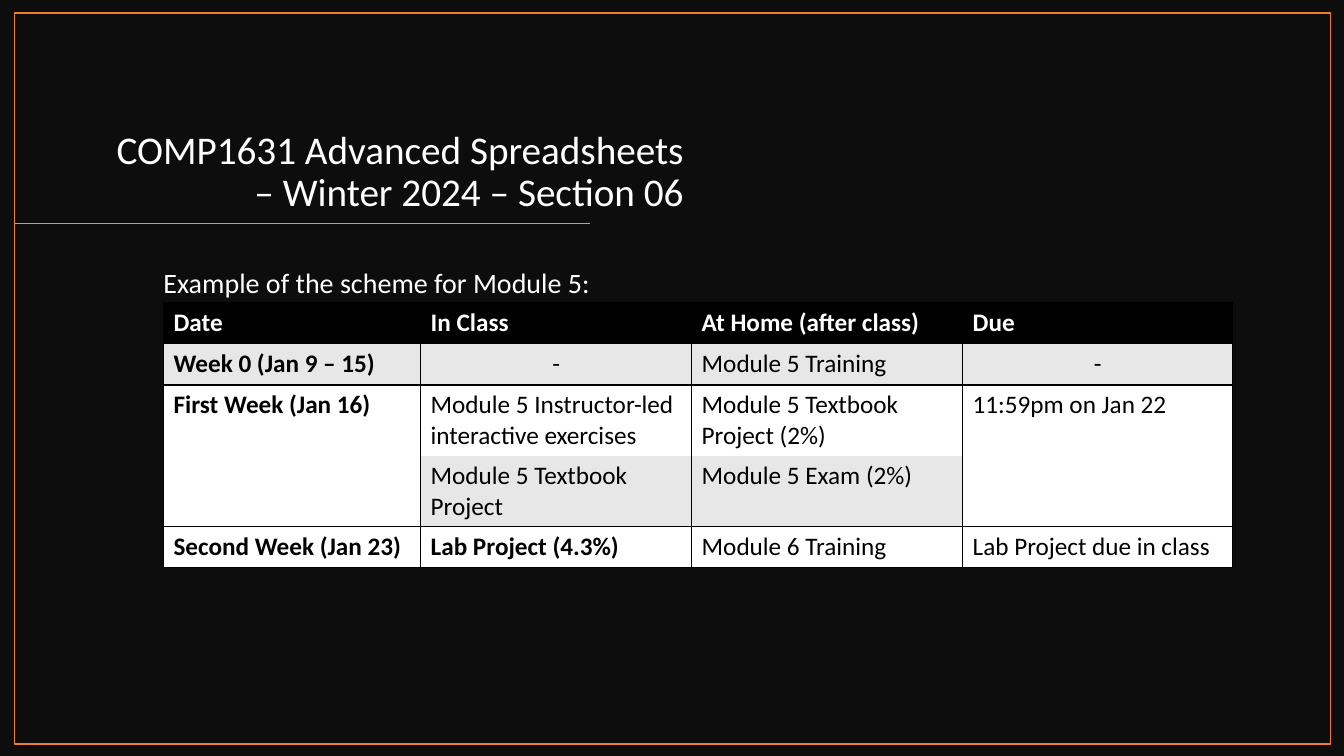
from lxml.etree import SubElement
from pptx import Presentation
from pptx.dml.color import RGBColor
from pptx.enum.shapes import MSO_CONNECTOR, MSO_SHAPE
from pptx.enum.text import MSO_ANCHOR, MSO_AUTO_SIZE, PP_ALIGN
from pptx.oxml.ns import qn
from pptx.util import Cm, Pt

TITLE = "COMP1631 Advanced Spreadsheets – Winter 2024 – Section 06"
INTRO = "Example of the scheme for Module 5:"
SCHEDULE = [
    ["Date", "In Class", "At Home (after class)", "Due"],
    ["Week 0 (Jan 9 – 15)", "-", "Module 5 Training", "-"],
    ["First Week (Jan 16)", "Module 5 Instructor-led interactive exercises",
     "Module 5 Textbook Project (2%)", "11:59pm on Jan 22"],
    ["", "Module 5 Textbook Project", "Module 5 Exam (2%)", ""],
    ["Second Week (Jan 23)", "Lab Project (4.3%)", "Module 6 Training",
     "Lab Project due in class"],
]
BOLD_EXTRA = "Lab Project (4.3%)"
FIRST_WEEK, MERGED_COLUMNS = 2, (0, 3)
COLUMN_WIDTHS = [6.48, 6.83, 6.83, 6.81]
ROW_HEIGHT = 1.04

FONT = "Calibri"
BLACK, WHITE, BAND = "000000", "FFFFFF", "E7E7E7"
DARK, ORANGE, GREY = "0D0D0D", "ED7D31", "A5A5A5"
SLIDE_WIDTH, SLIDE_HEIGHT = 33.87, 19.05
FRAME_LEFT, FRAME_TOP = 0.36, 0.33


def color(value):
    return RGBColor.from_string(value)


def write(para, text, size, ink, bold=False):
    span = para.add_run()
    span.text = text
    span.font.name = FONT
    span.font.size = Pt(size)
    span.font.bold = bold
    span.font.color.rgb = color(ink)


def add_rectangle(page, left, top, width, height):
    box = page.shapes.add_shape(MSO_SHAPE.RECTANGLE, Cm(left), Cm(top),
                                Cm(width), Cm(height))
    box.shadow.inherit = False
    return box


def set_borders(cell, hidden):
    """Draw black edges on a cell, leaving out the side named in hidden."""
    properties = cell._tc.get_or_add_tcPr()
    for position, side in enumerate(("lnL", "lnR", "lnT", "lnB")):
        edge = properties.makeelement(qn(f"a:{side}"), {"w": str(Pt(1))})
        if side == hidden:
            SubElement(edge, qn("a:noFill"))
        else:
            fill = SubElement(edge, qn("a:solidFill"))
            SubElement(fill, qn("a:srgbClr"), val=BLACK)
        properties.insert(position, edge)


def add_schedule(page):
    table = page.shapes.add_table(
        len(SCHEDULE), len(COLUMN_WIDTHS), Cm(4.12), Cm(7.62),
        Cm(sum(COLUMN_WIDTHS)), Cm(ROW_HEIGHT * len(SCHEDULE))).table
    for column, width in zip(table.columns, COLUMN_WIDTHS):
        column.width = Cm(width)
    for row in table.rows:
        row.height = Cm(ROW_HEIGHT)
    open_sides = {FIRST_WEEK: "lnB", FIRST_WEEK + 1: "lnT"}
    for r, texts in enumerate(SCHEDULE):
        for c, text in enumerate(texts):
            cell = table.cell(r, c)
            banded = r % 2 == 1 and text
            cell.fill.solid()
            cell.fill.fore_color.rgb = color(
                BLACK if r == 0 else BAND if banded else WHITE)
            set_borders(cell, open_sides.get(r))
            if text:
                para = cell.text_frame.paragraphs[0]
                para.alignment = PP_ALIGN.CENTER if text == "-" else PP_ALIGN.LEFT
                write(para, text, 18, BLACK if r else WHITE,
                      r == 0 or c == 0 or text == BOLD_EXTRA)
    for c in MERGED_COLUMNS:
        table.cell(FIRST_WEEK, c).merge(table.cell(FIRST_WEEK + 1, c))


def main():
    deck = Presentation()
    deck.slide_width, deck.slide_height = Cm(SLIDE_WIDTH), Cm(SLIDE_HEIGHT)
    page = deck.slides.add_slide(deck.slide_layouts[5])

    title = page.shapes.title
    title.left, title.top = Cm(2.34), Cm(1.87)
    title.width, title.height = Cm(15.14), Cm(3.68)
    frame = title.text_frame
    frame.word_wrap = True
    frame.auto_size = MSO_AUTO_SIZE.NONE
    frame.vertical_anchor = MSO_ANCHOR.BOTTOM
    para = frame.paragraphs[0]
    para.alignment = PP_ALIGN.RIGHT
    para.line_spacing = 0.9
    write(para, TITLE, 28, WHITE)

    backdrop = add_rectangle(page, 0, 0, SLIDE_WIDTH, SLIDE_HEIGHT)
    backdrop.fill.solid()
    backdrop.fill.fore_color.rgb = color(DARK)
    backdrop.line.fill.background()
    title.element.addprevious(backdrop.element)

    rule = page.shapes.add_connector(MSO_CONNECTOR.STRAIGHT, Cm(14.86), Cm(5.63),
                                     Cm(FRAME_LEFT), Cm(5.63))
    rule.line.color.rgb = color(GREY)
    rule.line.width = Pt(1)
    SubElement(rule.element.spPr, qn("a:effectLst"))

    intro = page.shapes.add_textbox(Cm(3.87), Cm(6.65), Cm(26.14), Cm(9.8))
    intro.text_frame.word_wrap = True
    para = intro.text_frame.paragraphs[0]
    para.line_spacing = 0.9
    write(para, INTRO, 20, WHITE)

    border = add_rectangle(page, FRAME_LEFT, FRAME_TOP, 33.17, 18.42)
    border.fill.background()
    border.line.color.rgb = color(ORANGE)
    border.line.width = Pt(1)

    add_schedule(page)
    deck.save("out.pptx")


if __name__ == "__main__":
    main()
